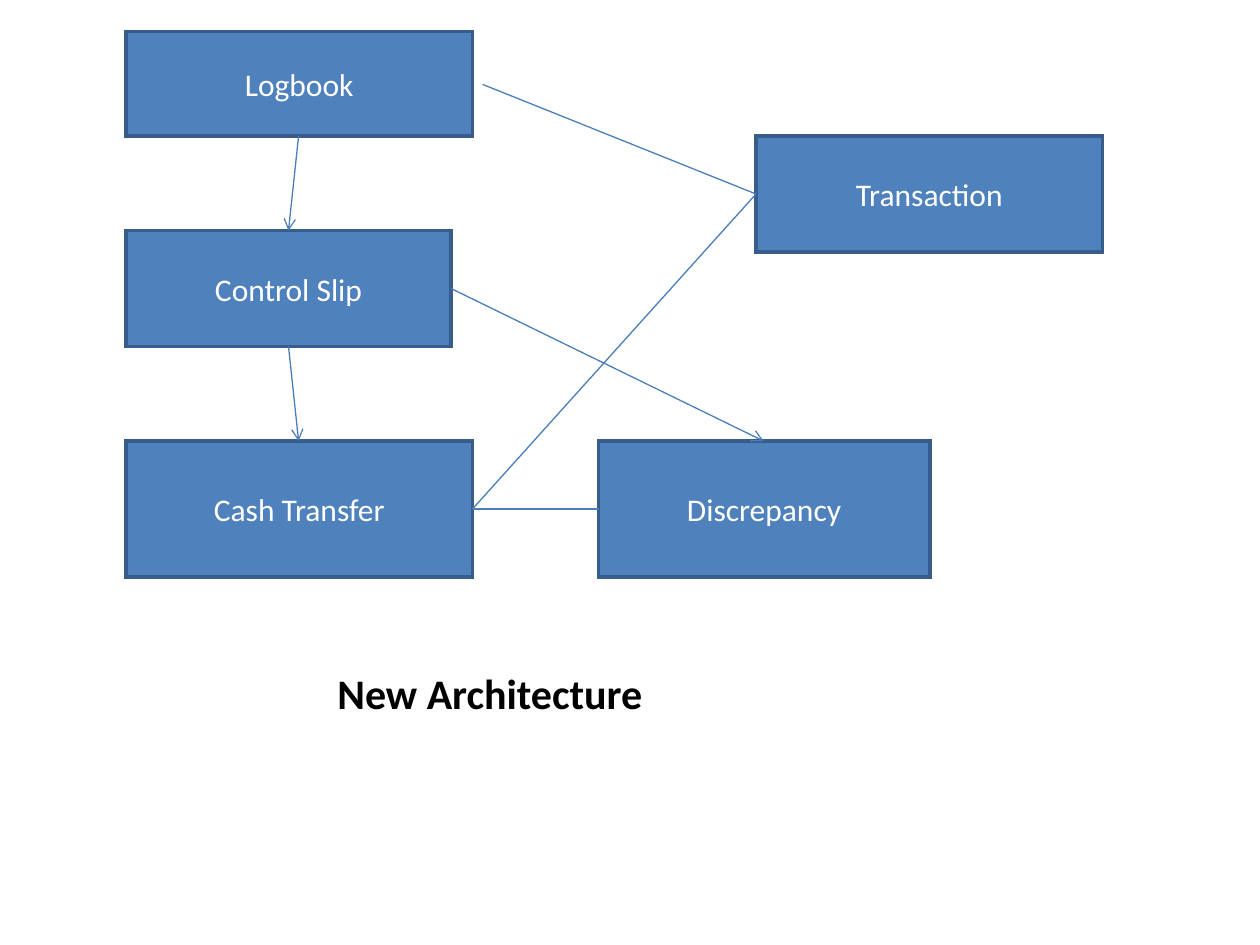
"""Build the New Architecture slide: five record boxes and their links."""
from lxml import etree
from pptx import Presentation
from pptx.dml.color import RGBColor
from pptx.enum.shapes import MSO_CONNECTOR, MSO_SHAPE
from pptx.enum.text import MSO_ANCHOR, PP_ALIGN
from pptx.oxml.ns import qn
from pptx.util import Inches, Pt

RECT = MSO_SHAPE.RECTANGLE
STRAIGHT = MSO_CONNECTOR.STRAIGHT
MIDDLE = MSO_ANCHOR.MIDDLE
CENTER = PP_ALIGN.CENTER
COLORS = {"fill": "4F81BD", "border": "385D8A", "link": "4A7EBB",
          "label": "FFFFFF", "title": "000000"}


def rgb(name):
    return RGBColor.from_string(COLORS[name])


def add_run(p, text, size, color, bold=False):
    r = p.add_run()
    r.text = text
    r.font.name = "Calibri"
    r.font.size = Pt(size)
    r.font.bold = bold
    r.font.color.rgb = rgb(color)


prs = Presentation()
prs.slide_width, prs.slide_height = Inches(10), Inches(7.5)
s = prs.slides.add_slide(prs.slide_layouts[6])

boxes = [
    ("Logbook", 1, 0.25, 2.75, 0.83),
    ("Control Slip", 1, 1.83, 2.58, 0.92),
    ("Cash Transfer", 1, 3.5, 2.75, 1.08),
    ("Transaction", 6, 1.08, 2.75, 0.92),
    ("Discrepancy", 4.75, 3.5, 2.63, 1.08),
]
for text, *box in boxes:
    sp = s.shapes.add_shape(RECT, *map(Inches, box))
    sp.shadow.inherit = False
    sp.fill.solid()
    sp.fill.fore_color.rgb = rgb("fill")
    sp.line.color.rgb = rgb("border")
    sp.line.width = Pt(2)
    etree.SubElement(sp.line.fill._xPr, qn("a:miter"), lim="800000")
    tf = sp.text_frame
    tf.vertical_anchor = MIDDLE
    p = tf.paragraphs[0]
    p.alignment = CENTER
    add_run(p, text, 18, "label")

links = [
    (2.37, 1.08, 2.29, 1.83, True),
    (2.29, 2.75, 2.37, 3.5, True),
    (3.83, 0.67, 6, 1.54, False),
    (6, 1.54, 3.75, 4.04, False),
    (3.58, 2.29, 6.06, 3.5, True),
    (3.75, 4.04, 4.75, 4.04, False),
]
for *ends, arrow in links:
    cx = s.shapes.add_connector(STRAIGHT, *map(Inches, ends))
    cx.line.color.rgb = rgb("link")
    cx.line.width = Pt(0.75)
    if arrow:
        etree.SubElement(cx.line.fill._xPr, qn("a:tailEnd"), type="arrow")
    etree.SubElement(cx._element.spPr, qn("a:effectLst"))

sp = s.shapes.add_textbox(Inches(2.58), Inches(5.25), Inches(5.67), Inches(0.5))
tf = sp.text_frame
tf.word_wrap = True
add_run(tf.paragraphs[0], "New Architecture", 24, "title", bold=True)

prs.save("out.pptx")
